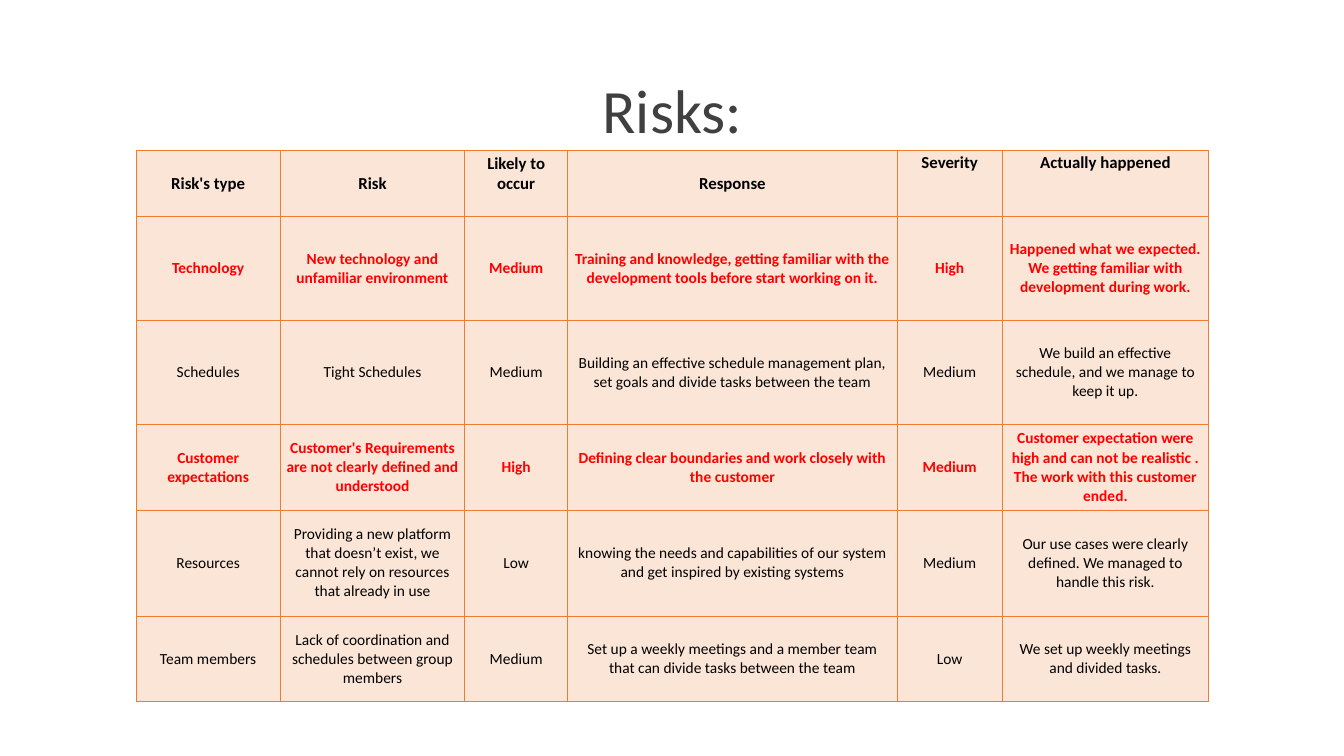
from lxml.etree import SubElement as Sub
from pptx import Presentation
from pptx.dml.color import RGBColor
from pptx.enum.text import MSO_ANCHOR as Anchor, PP_ALIGN as Align
from pptx.oxml.ns import qn
from pptx.util import Inches, Pt

BLACK = RGBColor(0, 0, 0)
RED = RGBColor(0xFF, 0, 0)
GREY = RGBColor(0x40, 0x40, 0x40)
PEACH = RGBColor(0xFB, 0xE5, 0xD6)
ORANGE = RGBColor(0xED, 0x7D, 0x31)
FONT = "Calibri"

TITLE = "Risks:"
HEADS = ["Risk's type", "Risk", "Likely to occur", "Response", "Severity", "Actually happened"]
RISKS = [
    ["Technology", "New technology and unfamiliar environment", "Medium",
     "Training and knowledge, getting familiar with the development tools before start working on it.",
     "High", "Happened what we expected. We getting familiar with development during work."],
    ["Schedules", "Tight Schedules", "Medium",
     "Building an effective schedule management plan, set goals and divide tasks between the team",
     "Medium", "We build an effective schedule, and we manage to keep it up."],
    ["Customer expectations", "Customer's Requirements are not clearly defined and understood", "High",
     "Defining clear boundaries and work closely with the customer",
     "Medium", "Customer expectation were high and can not be realistic . The work with this customer ended."],
    ["Resources", "Providing a new platform that doesn’t exist, we cannot rely on resources that already in use",
     "Low", "knowing the needs and capabilities of our system and get inspired by existing systems",
     "Medium", "Our use cases were clearly defined. We managed to handle this risk."],
    ["Team members", "Lack of coordination and schedules between group members", "Medium",
     "Set up a weekly meetings and a member team that can divide tasks between the team",
     "Low", "We set up weekly meetings and divided tasks."],
]
URGENT = {"Technology", "Customer expectations"}
TOP = {"Likely to occur", "Severity", "Actually happened"}
SLIM = {"Severity", "Actually happened"}
COLS = [1.43, 1.83, 1.02, 3.27, 1.04, 2.05]
ROWS = [0.66, 1.03, 1.03, 0.85, 1.05, 0.85]


def write(frame, text, size, color, bold=False):
    para = frame.paragraphs[0]
    para.alignment = Align.CENTER
    run = para.add_run()
    run.text = text
    font = run.font
    font.name, font.size, font.bold = FONT, Pt(size), bold
    font.color.rgb = color
    return para


def edge(cell):
    props = cell._tc.get_or_add_tcPr()
    for spot, side in enumerate(("lnL", "lnR", "lnT", "lnB")):
        line = props.makeelement(qn("a:" + side), {"w": str(Pt(0.5))})
        fill = Sub(line, qn("a:solidFill"))
        Sub(fill, qn("a:srgbClr"), val=str(ORANGE))
        props.insert(spot, line)


deck = Presentation()
deck.slide_width, deck.slide_height = Inches(13.33), Inches(7.5)
slide = deck.slides.add_slide(deck.slide_layouts[5])

title = slide.shapes.title
title.left, title.top = Inches(0.92), Inches(0.4)
title.width, title.height = Inches(11.5), Inches(1.45)
title.text_frame.vertical_anchor = Anchor.MIDDLE
write(title.text_frame, TITLE, 44, GREY).line_spacing = 0.9

table = slide.shapes.add_table(
    len(ROWS), len(COLS), Inches(1.35), Inches(1.49),
    Inches(sum(COLS)), Inches(sum(ROWS))).table
for col, width in zip(table.columns, COLS):
    col.width = Inches(width)
for row, height in zip(table.rows, ROWS):
    row.height = Inches(height)

for r, texts in enumerate([HEADS] + RISKS):
    head, hot = r == 0, texts[0] in URGENT
    for c, text in enumerate(texts):
        cell = table.cell(r, c)
        cell.fill.solid()
        cell.fill.fore_color.rgb = PEACH
        edge(cell)
        pad = 0.04 if text in SLIM else 0.06
        cell.margin_left = cell.margin_right = Inches(pad)
        cell.margin_top = cell.margin_bottom = Inches(pad / 2)
        cell.vertical_anchor = Anchor.TOP if text in TOP else Anchor.MIDDLE
        write(cell.text_frame, text, 12 if head else 11, RED if hot else BLACK, head or hot)

deck.save("out.pptx")
